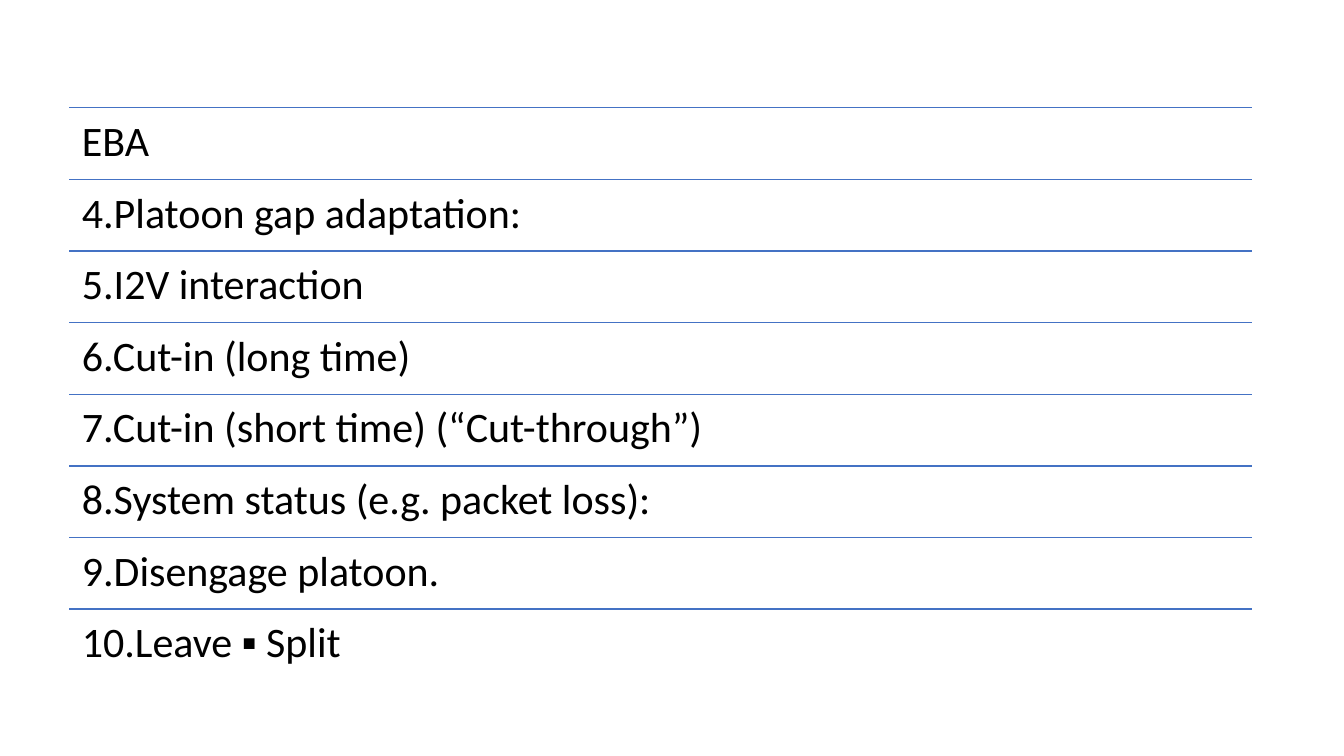
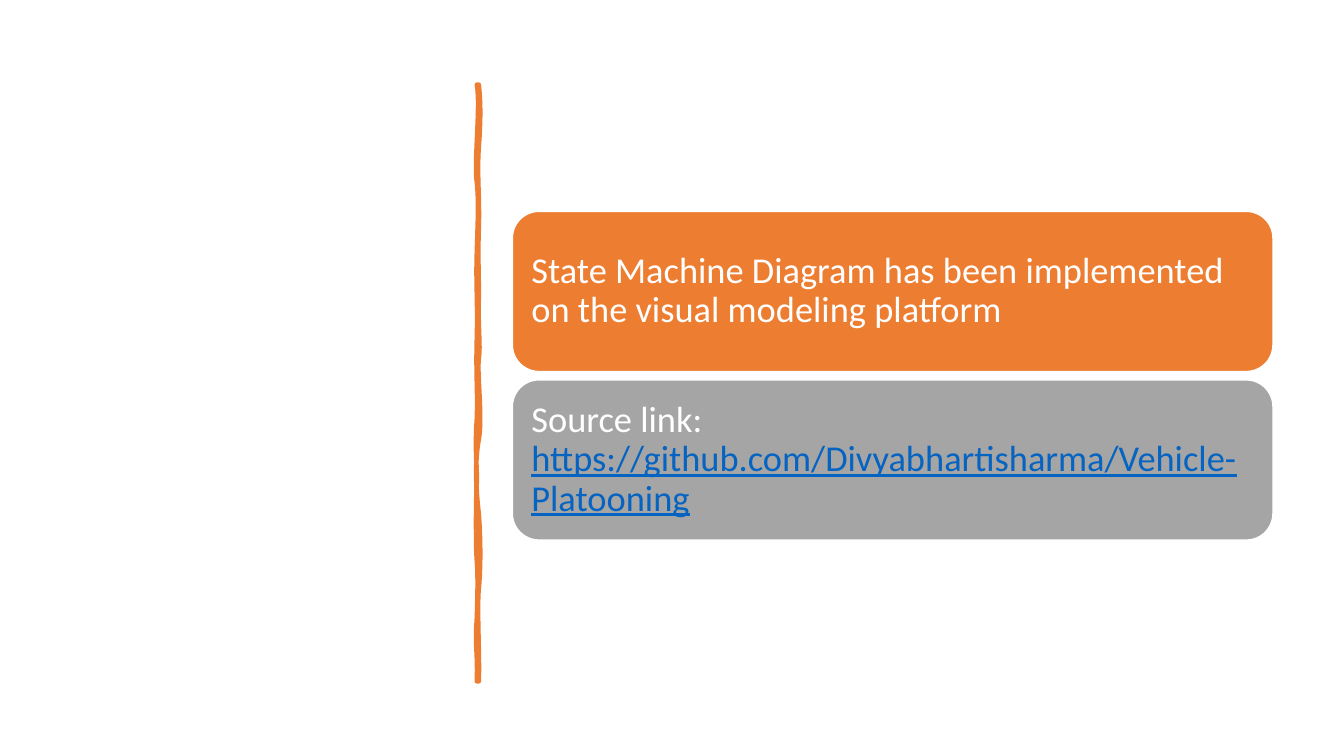
from lxml.etree import SubElement
from pptx import Presentation
from pptx.dml.color import RGBColor
from pptx.enum.shapes import MSO_CONNECTOR as Connector, MSO_SHAPE as Shape
from pptx.enum.text import MSO_ANCHOR as Anchor, PP_ALIGN as Align
from pptx.oxml.ns import qn
from pptx.util import Pt

FONT = "Calibri"
BLANK_LAYOUT = 6
COLORS = {
    "rule": "4472C4",
    "text": "000000",
    "white": "FFFFFF",
    "accent": "ED7D31",
    "grey": "A5A5A5",
    "link": "0563C1",
}

SCENARIOS = [
    "EBA",
    "4.Platoon gap adaptation:",
    "5.I2V interaction",
    "6.Cut-in (long time)",
    "7.Cut-in (short time) (“Cut-through”)",
    "8.System status (e.g. packet loss):",
    "9.Disengage platoon.",
    "10.Leave ▪ Split",
]

# Each card: fill and its spans as (text, colour, underline)
CARDS = [
    ("accent", [("State Machine Diagram has been implemented "
                 "on the visual modeling platform", "white", False)]),
    ("grey", [("Source link: ", "white", False),
              ("https://github.com/Divyabhartisharma/Vehicle-Platooning",
               "link", True)]),
]

# Hand-drawn divider: a start, then two control points and an end per curve
DIVIDER_START = (342, 60.5)
DIVIDER_CURVES = [
    # Right edge, downwards
    ((343.4, 73.4), (343.4, 85.7), (342, 105.1)),
    ((340.6, 124.6), (342.7, 140.4), (342, 162.7)),
    ((341.3, 185), (342, 188.6), (342, 211.7)),
    ((341.3, 234), (343.4, 246.2), (342, 256.3)),
    ((340.6, 266.4), (344.9, 298.1), (342, 313.9)),
    ((339.1, 329), (339.8, 348.5), (342, 367.2)),
    ((343.4, 385.9), (343.4, 406.1), (342, 420.5)),
    ((340.6, 434.2), (342.7, 468), (342, 486.7)),
    ((341.3, 486.7), (340.6, 486.7), (340.6, 486.7)),
    # Left edge, upwards
    ((341.3, 465.1), (339.1, 463.7), (340.6, 441.4)),
    ((341.3, 419.8), (341.3, 410.4), (340.6, 401)),
    ((339.8, 391.7), (339.8, 356.4), (340.6, 343.4)),
    ((340.6, 330.5), (339.1, 320.4), (340.6, 298.8)),
    ((341.3, 277.9), (339.8, 268.6), (340.6, 241.2)),
    ((341.3, 214.6), (339.8, 202.3), (340.6, 180)),
    ((341.3, 157), (342, 144), (340.6, 130.3)),
    ((338.4, 117.4), (343.4, 74.9), (340.6, 60.5)),
]


def color(name):
    return RGBColor.from_string(COLORS[name])


def add_span(para, text, *, size, fill, underline=False):
    span = para.add_run()
    span.text = text
    font = span.font
    font.name, font.size, font.underline = FONT, Pt(size), underline
    font.color.rgb = color(fill)


def prepare_text(box, *, inset, anchor):
    frame = box.text_frame
    frame.word_wrap = True
    frame.vertical_anchor = anchor
    frame.margin_left = frame.margin_right = Pt(inset)
    frame.margin_top = frame.margin_bottom = Pt(inset)
    para = frame.paragraphs[0]
    para.alignment = Align.LEFT
    para.line_spacing = 0.9
    return para


def paint(shape, *, fill, line, width):
    shape.shadow.inherit = False
    shape.fill.solid()
    shape.fill.fore_color.rgb = color(fill)
    shape.line.color.rgb = color(line)
    shape.line.width = Pt(width)


def add_rule(page, left, top, width):
    rule = page.shapes.add_connector(
        Connector.STRAIGHT, Pt(left), Pt(top), Pt(left + width), Pt(top))
    rule.line.color.rgb = color("rule")
    rule.line.width = Pt(1)
    SubElement(rule.element.spPr, qn("a:effectLst"))


def add_ruled_list(page, items, *, left, top, width, row_height):
    for index, item in enumerate(items):
        row_top = top + index * row_height
        add_rule(page, left, row_top, width)
        box = page.shapes.add_textbox(
            Pt(left), Pt(row_top), Pt(width), Pt(row_height))
        para = prepare_text(box, inset=8.9, anchor=Anchor.TOP)
        add_span(para, item, size=30, fill="text")


def add_cards(page, cards, *, left, top, width, height, gap):
    for index, (fill, spans) in enumerate(cards):
        card = page.shapes.add_shape(
            Shape.ROUNDED_RECTANGLE, Pt(left),
            Pt(top + index * (height + gap)), Pt(width), Pt(height))
        paint(card, fill=fill, line="white", width=1)
        para = prepare_text(card, inset=8, anchor=Anchor.MIDDLE)
        for text, text_color, underline in spans:
            add_span(para, text, size=26, fill=text_color, underline=underline)


def bend_segments(shape, curves):
    """Turn the straight segments of a freeform into cubic curves."""
    segments = list(shape.element.iter(qn("a:lnTo")))
    for segment, (first, second, _) in zip(segments, curves):
        segment.tag = qn("a:cubicBezTo")
        end = segment[0]
        for x, y in (first, second):
            control = SubElement(segment, qn("a:pt"))
            control.set("x", str(Pt(x) - shape.left))
            control.set("y", str(Pt(y) - shape.top))
        segment.append(end)


def add_divider(page):
    builder = page.shapes.build_freeform(*map(Pt, DIVIDER_START))
    builder.add_line_segments(
        [(Pt(x), Pt(y)) for _, _, (x, y) in DIVIDER_CURVES])
    divider = builder.convert_to_shape()
    bend_segments(divider, DIVIDER_CURVES)
    paint(divider, fill="accent", line="accent", width=3.25)


def main():
    deck = Presentation()
    deck.slide_width, deck.slide_height = Pt(960), Pt(540)
    layout = deck.slide_layouts[BLANK_LAYOUT]

    # Platooning scenarios
    page = deck.slides.add_slide(layout)
    add_ruled_list(page, SCENARIOS, left=49.6, top=77, width=844.4,
                   row_height=51.15)

    # State machine and source code
    page = deck.slides.add_slide(layout)
    add_divider(page)
    add_cards(page, CARDS, left=366, top=151, width=543.3, height=114.4, gap=6)

    deck.save("out.pptx")


if __name__ == "__main__":
    main()
